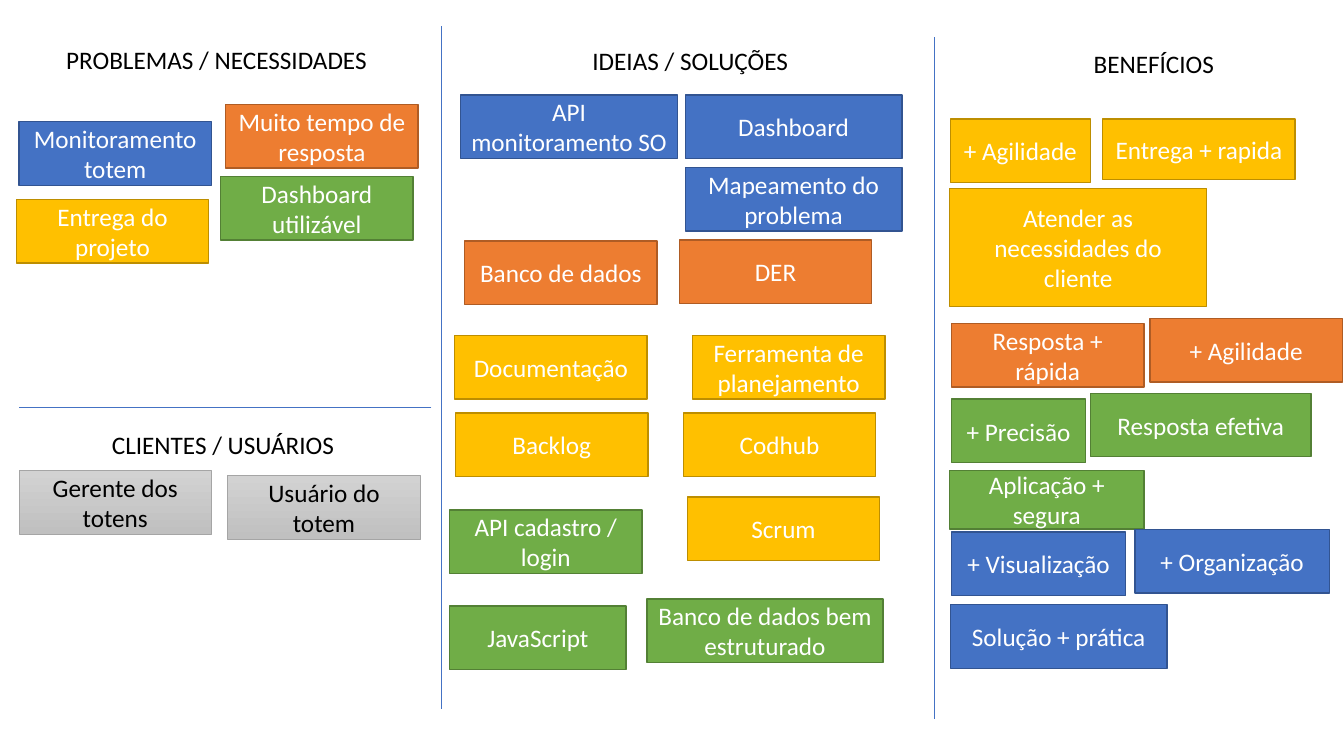
import pptx
import pptx.dml.color
import pptx.enum.shapes
import pptx.enum.text
import pptx.oxml
import pptx.oxml.ns
import pptx.util
from lxml import etree

Cm = pptx.util.Cm
Pt = pptx.util.Pt
RGB = pptx.dml.color.RGBColor

WHITE = RGB(0xFF, 0xFF, 0xFF)
BLACK = RGB(0x00, 0x00, 0x00)
GREY_TOP = RGB(0xD2, 0xD2, 0xD2)
GREY_BOTTOM = RGB(0xC0, 0xC0, 0xC0)
GREY_LINE = RGB(0xA5, 0xA5, 0xA5)
BLUE = RGB(0x44, 0x72, 0xC4)
ORANGE = RGB(0xED, 0x7D, 0x31)
YELLOW = RGB(0xFF, 0xC0, 0x00)
GREEN = RGB(0x70, 0xAD, 0x47)
BORDERS = {
    BLUE: RGB(0x32, 0x54, 0x91),
    ORANGE: RGB(0xAF, 0x5C, 0x24),
    YELLOW: RGB(0xBD, 0x8E, 0x00),
    GREEN: RGB(0x53, 0x80, 0x35),
}

FONT = "Calibri"
CARD_W, CARD_H = 4.85, 1.6
IDEA_W = 5.46
LEFT_COL, IDEAS_COL, BENEFITS_COL = 0, 11.13, 23.55
CLIENTS_TOP = 10.26


def add_run(p, text, color):
    """Add one 18 pt run to a paragraph."""
    r = p.add_run()
    r.text = text
    r.font.name = FONT
    r.font.size = Pt(18)
    r.font.color.rgb = color


def add_heading(s, box, text, x, y, w):
    """Place a region heading relative to its box."""
    sp = s.shapes.add_textbox(Cm(box[0] + x), Cm(box[1] + y), Cm(w), Cm(1.03))
    tf = sp.text_frame
    tf.word_wrap = True
    tf.auto_size = pptx.enum.text.MSO_AUTO_SIZE.SHAPE_TO_FIT_TEXT
    add_run(tf.paragraphs[0], text, BLACK)


def add_card(s, box, text, x, y, color=None, w=CARD_W, h=CARD_H):
    """Place a card relative to its box; without a colour it is grey."""
    sp = s.shapes.add_shape(
        pptx.enum.shapes.MSO_SHAPE.RECTANGLE,
        Cm(box[0] + x), Cm(box[1] + y), Cm(w), Cm(h))
    sp.shadow.inherit = False
    if color is None:
        sp.fill.gradient()
        sp.fill.gradient_angle = 270
        for stop, grey in zip(sp.fill.gradient_stops, (GREY_TOP, GREY_BOTTOM)):
            stop.color.rgb = grey
    else:
        sp.fill.solid()
        sp.fill.fore_color.rgb = color
    sp.line.color.rgb = BORDERS.get(color, GREY_LINE)
    sp.line.width = Pt(1 if color else 0.5)
    tf = sp.text_frame
    tf.word_wrap = True
    tf.vertical_anchor = pptx.enum.text.MSO_ANCHOR.MIDDLE
    p = tf.paragraphs[0]
    p.alignment = pptx.enum.text.PP_ALIGN.CENTER
    add_run(p, text, WHITE if color else BLACK)


def add_cards(s, box, cards):
    """Place a list of cards in one box."""
    for card in cards:
        add_card(s, box, *card)


def add_divider(s, x1, y1, x2, y2):
    """Draw a thin line between two regions."""
    line = s.shapes.add_connector(
        pptx.enum.shapes.MSO_CONNECTOR.STRAIGHT, Cm(x1), Cm(y1), Cm(x2), Cm(y2))
    line.line.color.rgb = BLUE
    line.line.width = Pt(0.5)
    sp_pr = line._element.find(pptx.oxml.ns.qn("p:spPr"))
    etree.SubElement(sp_pr, pptx.oxml.ns.qn("a:effectLst"))


def add_dividers(s):
    """Draw the lines that separate the four regions."""
    add_divider(s, IDEAS_COL, 17.86, IDEAS_COL, 0.66)
    add_divider(s, 10.87, CLIENTS_TOP, 0.48, CLIENTS_TOP)
    add_divider(s, BENEFITS_COL, 18.11, BENEFITS_COL, 0.94)


def add_problems(s, box):
    """Fill the region of problems and needs."""
    add_heading(s, box, "PROBLEMAS / NECESSIDADES", 1.42, 0.99, 8.53)
    add_cards(s, box, [
        ("Monitoramento totem", 0.48, 3.07, BLUE),
        ("Muito tempo de resposta", 5.69, 2.64, ORANGE),
        ("Dashboard utilizável", 5.56, 4.45, GREEN),
        ("Entrega do projeto", 0.41, 5.03, YELLOW),
    ])


def add_clients(s, box):
    """Fill the region of clients and users."""
    add_heading(s, box, "CLIENTES / USUÁRIOS", 2.57, 0.43, 6.25)
    add_cards(s, box, [
        ("Gerente dos totens", 0.48, 1.6),
        ("Usuário do totem", 5.74, 1.73),
    ])


def add_ideas(s, box):
    """Fill the region of ideas and solutions."""
    add_heading(s, box, "IDEIAS / SOLUÇÕES", 3.55, 1.02, 5.46)
    add_cards(s, box, [
        ("API monitoramento SO", 0.48, 2.39, BLUE, IDEA_W),
        ("Dashboard", 6.14, 2.39, BLUE, IDEA_W),
        ("Mapeamento do problema", 6.14, 4.22, BLUE, IDEA_W),
        ("Banco de dados", 0.58, 6.07, ORANGE),
        ("DER", 5.99, 6.05, ORANGE),
        ("Documentação", 0.33, 8.46, YELLOW),
        ("Ferramenta de planejamento", 6.32, 8.46, YELLOW),
        ("Backlog", 0.35, 10.41, YELLOW),
        ("Codhub", 6.09, 10.41, YELLOW),
        ("Scrum", 6.19, 12.52, YELLOW),
        ("API cadastro / login", 0.2, 12.85, GREEN),
        ("Banco de dados bem estruturado", 5.18, 15.09, GREEN, 5.94),
        ("JavaScript", 0.2, 15.27, GREEN, 4.45),
    ])


def add_benefits(s, box):
    """Fill the region of benefits."""
    add_heading(s, box, "BENEFÍCIOS", 3.76, 1.09, 3.78)
    add_cards(s, box, [
        ("+ Agilidade", 0.4, 3, YELLOW, 3.53),
        ("Entrega + rapida", 4.24, 3, YELLOW, CARD_W, 1.52),
        ("Atender as necessidades do cliente", 0.38, 4.75, YELLOW, 6.48, 2.97),
        ("+ Agilidade", 5.43, 8.03, ORANGE),
        ("Resposta + rápida", 0.43, 8.15, ORANGE),
        ("+ Precisão", 0.43, 10.06, GREEN, 3.38),
        ("Resposta efetiva", 3.93, 9.91, GREEN, 5.56),
        ("Aplicação + segura", 0.38, 11.86, GREEN, 4.9, 1.47),
        ("+ Visualização", 0.43, 13.41, BLUE, 4.39),
        ("+ Organização", 5.05, 13.34, BLUE, 4.9),
        ("Solução + prática", 0.4, 15.24, BLUE, IDEA_W),
    ])


prs = pptx.Presentation()
prs.slide_width, prs.slide_height = Cm(33.87), Cm(19.05)
s = prs.slides.add_slide(prs.slide_layouts[6])
add_dividers(s)
add_problems(s, (LEFT_COL, 0))
add_clients(s, (LEFT_COL, CLIENTS_TOP))
add_ideas(s, (IDEAS_COL, 0))
add_benefits(s, (BENEFITS_COL, 0))
prs.save("out.pptx")
